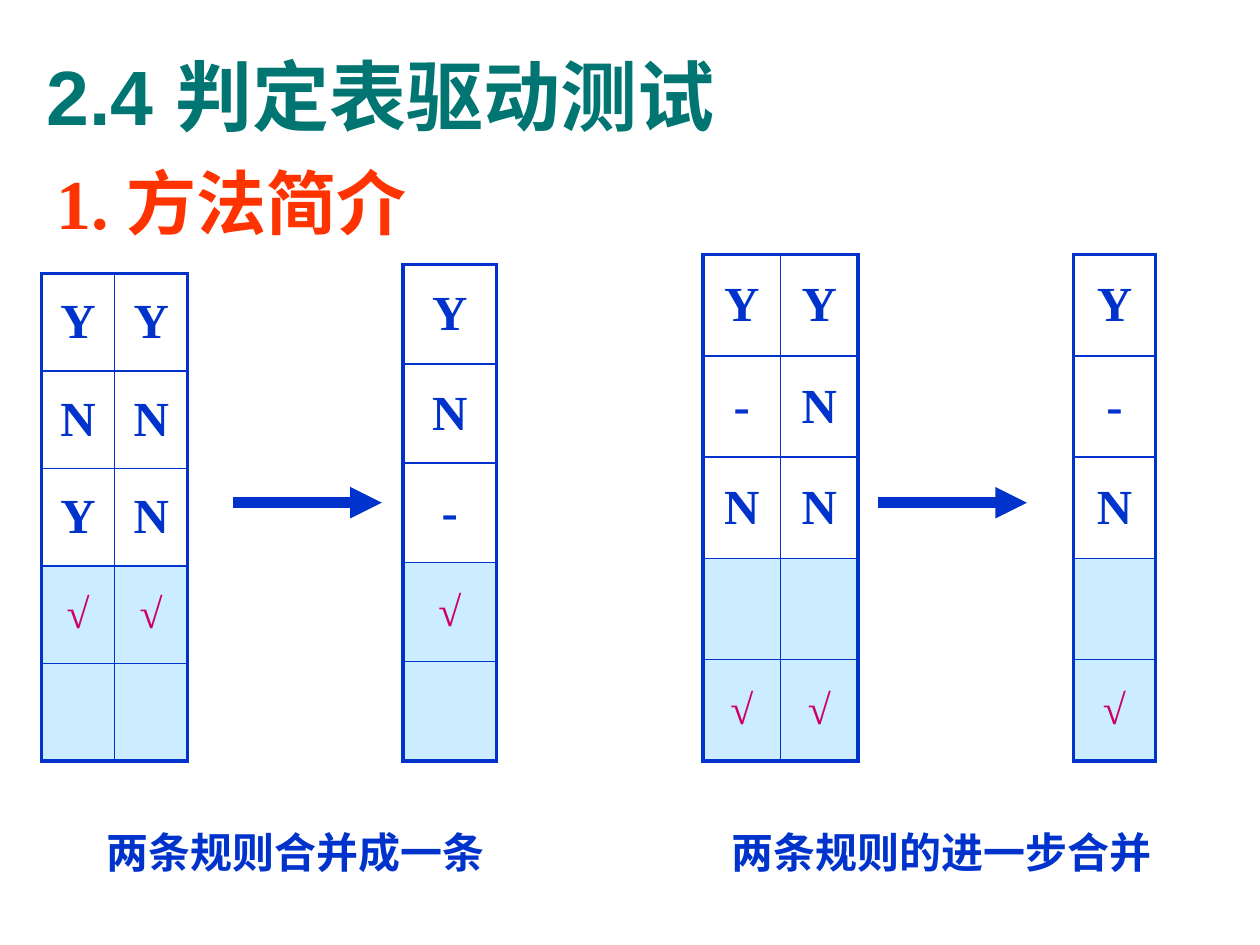
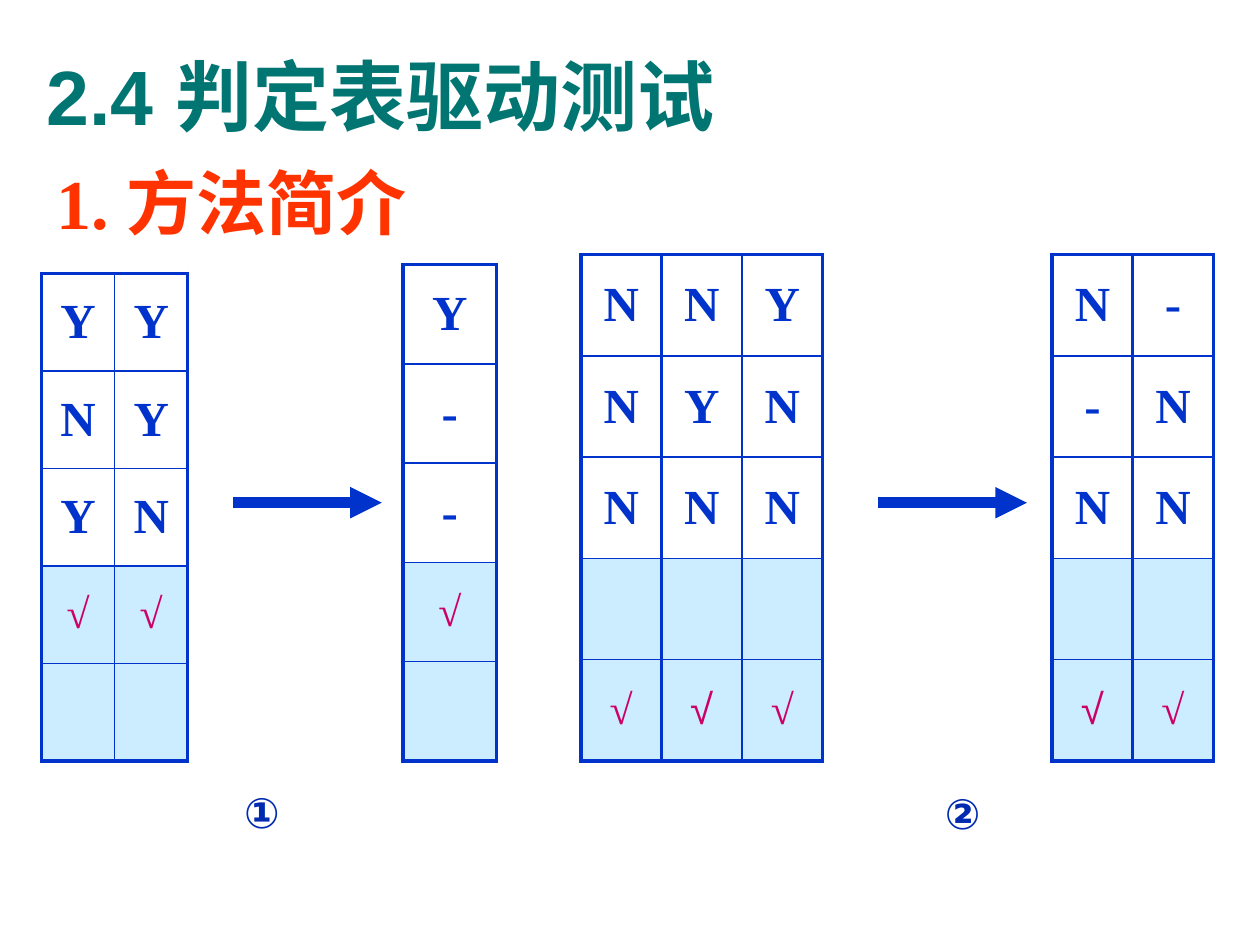
"""Two slides on merging the rules of a decision table."""
from dataclasses import dataclass

import pptx
import pptx.dml.color
import pptx.enum.shapes
import pptx.enum.text
import pptx.oxml.ns
import pptx.util
from lxml import etree

Inches, Pt = pptx.util.Inches, pptx.util.Pt
ALIGN = pptx.enum.text.PP_ALIGN
ANCHOR = pptx.enum.text.MSO_ANCHOR
qn = pptx.oxml.ns.qn


@dataclass(frozen=True)
class Theme:
    """Colours, run formats and line widths of the deck."""
    blue: str = "0033CC"
    action_fill: str = "CCECFF"
    thin: float = 1
    heavy: float = 2.25
    arrow: float = 6

    def formats(self, role):
        """Return the font name, size, weight and colour of a text role."""
        name, size, bold, color = {
            "title": ("Arial", 44, True, "007572"),
            "number": ("Times New Roman", 40, True, "FF3300"),
            "heading": ("Arial", 40, True, "FF3300"),
            "condition": ("Times New Roman", 28, True, self.blue),
            "action": ("Times New Roman", 24, True, "CC0066"),
            "plain action": ("Arial", 24, False, "CC0066"),
            "caption": ("Open Sans", 24, True, self.blue),
            "label": ("Open Sans", 24, True, "002AAF"),
        }[role]
        return {"name": name, "size": Pt(size), "bold": bold}, color


THEME = Theme()


@dataclass(frozen=True)
class Rules:
    """A rule table: one word per row, one sign per column, '_' for empty."""
    grid: str
    width: float
    height: float
    plain_col: int = -1
    heavy_edge: int = -1


@dataclass(frozen=True)
class Caption:
    """A caption, placed from the lower left corner of its figure."""
    text: str
    dx: float
    dy: float
    width: float
    indent: float = 0
    role: str = "caption"


def rgb(color):
    """Turn a hex string into a colour."""
    return pptx.dml.color.RGBColor.from_string(color)


def apply(obj, values):
    """Set attributes of an object from a dict."""
    for name, value in values.items():
        setattr(obj, name, value)


def add_run(p, text, role):
    """Add a run in the format of its role."""
    r = p.add_run()
    r.text = text
    values, color = THEME.formats(role)
    apply(r.font, values)
    r.font.color.rgb = rgb(color)


def add_text(s, box, indent=0, hanging=0):
    """Add an empty text box and return its paragraph."""
    sp = s.shapes.add_textbox(*map(Inches, box))
    sp.text_frame.word_wrap = True
    p = sp.text_frame.paragraphs[0]
    pPr = p._p.get_or_add_pPr()
    pPr.set("marL", str(Inches(indent)))
    pPr.set("indent", str(Inches(-hanging)))
    return p


def add_headings(s, box):
    """Fill the title and put the section heading in the area below it."""
    x, y, w, h = box
    sp = s.shapes.title
    apply(sp, {"left": Inches(x), "top": Inches(y),
               "width": Inches(w), "height": Inches(h)})
    sp.text_frame.vertical_anchor = ANCHOR.MIDDLE
    p = sp.text_frame.paragraphs[0]
    p.alignment = ALIGN.LEFT
    add_run(p, "2.4 判定表驱动测试", "title")

    p = add_text(s, (x + 0.08, y + 1.02, 9.21, 6.06), 0.67, 0.67)
    p.line_spacing = 1.1
    add_run(p, "1. ", "number")
    add_run(p, "方法简介", "heading")


def set_borders(cell, widths):
    """Draw the left, right, top and bottom border of a cell."""
    tcPr = cell._tc.get_or_add_tcPr()
    for side, width in zip("LRTB", widths):
        ln = etree.SubElement(tcPr, qn(f"a:ln{side}"), w=str(Pt(width)))
        fill = etree.SubElement(ln, qn("a:solidFill"))
        etree.SubElement(fill, qn("a:srgbClr"), val=THEME.blue)


def add_rules(s, x, bottom, rules):
    """Add a rule table standing on the given bottom line."""
    rows = rules.grid.split()
    n_rows, n_cols = len(rows), len(rows[0])
    tbl = s.shapes.add_table(
        n_rows, n_cols, Inches(x), Inches(bottom - rules.height),
        Inches(rules.width), Inches(rules.height)).table
    apply(tbl, {"first_row": False, "horz_banding": False})
    for row in tbl.rows:
        row.height = Inches(rules.height / n_rows)

    def edge(i, heavy):
        return THEME.heavy if i in heavy else THEME.thin

    col_heavy = {0, n_cols, rules.heavy_edge}
    row_heavy = {0, n_rows}
    for i, signs in enumerate(rows):
        for j, sign in enumerate(signs):
            cell = tbl.cell(i, j)
            set_borders(cell, [edge(j, col_heavy), edge(j + 1, col_heavy),
                               edge(i, row_heavy), edge(i + 1, row_heavy)])
            if i < 3:
                cell.fill.background()
            else:
                cell.fill.solid()
                cell.fill.fore_color.rgb = rgb(THEME.action_fill)
            if sign == "_":
                continue
            cell.vertical_anchor = ANCHOR.MIDDLE
            p = cell.text_frame.paragraphs[0]
            p.alignment = ALIGN.CENTER
            role = "condition"
            if sign == "√":
                role = "plain action" if j == rules.plain_col else "action"
            add_run(p, sign, role)


def add_arrow(s, x, y, length):
    """Add a thick arrow pointing right."""
    cxn = s.shapes.add_connector(
        pptx.enum.shapes.MSO_CONNECTOR.STRAIGHT,
        Inches(x), Inches(y), Inches(x + length), Inches(y))
    cxn.line.width = Pt(THEME.arrow)
    cxn.line.color.rgb = rgb(THEME.blue)
    etree.SubElement(cxn.line._get_or_add_ln(), qn("a:tailEnd"),
                     type="triangle")
    etree.SubElement(cxn._element.spPr, qn("a:effectLst"))


def add_merge(s, box, before, after, arrow_dx, caption):
    """Show rules before and after merging at the two ends of a box."""
    x, y, w, h = box
    bottom = y + h
    add_rules(s, x, bottom, before)
    add_arrow(s, x + arrow_dx, bottom - 2.05, 1.18)
    add_rules(s, x + w - after.width, bottom, after)
    p = add_text(s, (x + caption.dx, bottom + caption.dy, caption.width, 0.5),
                 caption.indent)
    add_run(p, caption.text, caption.role)


def add_merge_slide(prs, figures):
    """Add a slide with the shared headings and its merge figures."""
    s = prs.slides.add_slide(prs.slide_layouts[5])
    add_headings(s, (0.27, 0.13, 9.34, 1.25))
    for figure in figures:
        add_merge(s, *figure)


prs = pptx.Presentation()
apply(prs, {"slide_width": Inches(10), "slide_height": Inches(7.5)})

LEFT_BOX = (0.33, 2.02, 3.61, 4.02)

add_merge_slide(prs, [
    (LEFT_BOX,
     Rules("YY NN YN √√ __", 1.16, 3.87),
     Rules("Y N - √ _", 0.74, 3.94),
     1.52, Caption("两条规则合并成一条", 0.1, 0.47, 3.94, 0.32)),
    ((5.58, 2.02, 3.59, 4.02),
     Rules("YY -N NN __ √√", 1.23, 4.02),
     Rules("Y - N _ √", 0.65, 4.02),
     1.39, Caption("两条规则的进一步合并", 0.13, 0.47, 3.7)),
])

add_merge_slide(prs, [
    (LEFT_BOX,
     Rules("YY NY YN √√ __", 1.16, 3.87),
     Rules("Y - - √ _", 0.74, 3.94),
     1.52, Caption("①", 1.17, 0.15, 1.3, 0.34, "label")),
    ((4.61, 2.02, 5.02, 4.02),
     Rules("NNY NYN NNN ___ √√√", 1.92, 4.02, plain_col=1, heavy_edge=1),
     Rules("N- -N NN __ √√", 1.28, 4.02, plain_col=0, heavy_edge=1),
     2.36, Caption("②", 2.45, 0.16, 1.3, 0.34, "label")),
])

prs.save("out.pptx")
